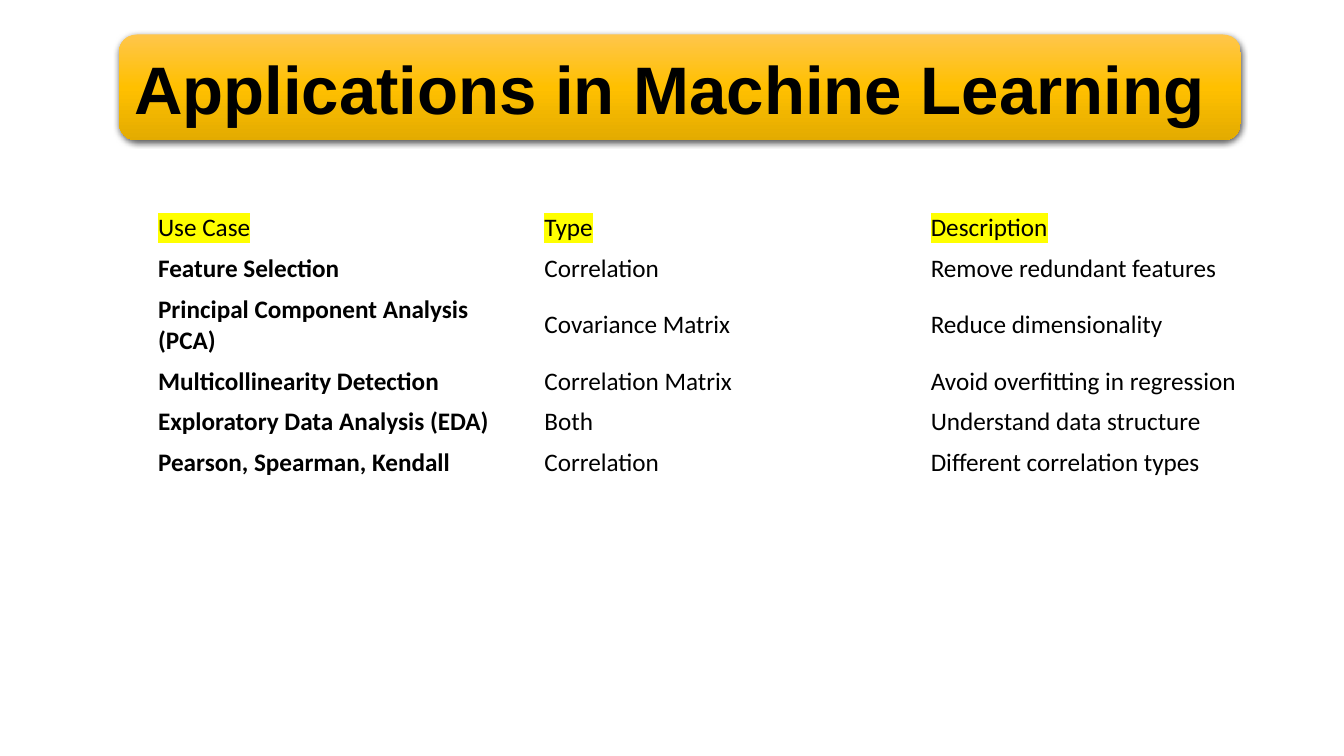
from dataclasses import dataclass

from lxml.etree import SubElement
from pptx import Presentation
from pptx.dml.color import RGBColor
from pptx.enum.shapes import MSO_SHAPE
from pptx.enum.text import MSO_ANCHOR, PP_ALIGN
from pptx.oxml import parse_xml
from pptx.oxml.ns import nsdecls, qn
from pptx.util import Cm, Pt


@dataclass(frozen=True)
class Theme:
    """Colours, fonts and type sizes of the slide."""
    text: str = "000000"
    highlight: str = "FFFF00"
    shadow: str = "000000"
    banner: tuple = ((0, "FFC64B"), (50, "FFC000"), (100, "E3AB00"))
    title_font: str = "Arial"
    body_font: str = "Calibri"
    title_size: int = 48
    body_size: int = 18


THEME = Theme()
TITLE = "Applications in Machine Learning"
USE_CASES = (
    ("Use Case", "Type", "Description"),
    ("Feature Selection", "Correlation", "Remove redundant features"),
    ("Principal Component Analysis (PCA)", "Covariance Matrix", "Reduce dimensionality"),
    ("Multicollinearity Detection", "Correlation Matrix", "Avoid overfitting in regression"),
    ("Exploratory Data Analysis (EDA)", "Both", "Understand data structure"),
    ("Pearson, Spearman, Kendall", "Correlation", "Different correlation types"),
)


def add_text(tf, text, **font):
    """Write one left-aligned run and return it."""
    p = tf.paragraphs[0]
    p.alignment = PP_ALIGN.LEFT
    r = p.add_run()
    r.text = text
    for name, value in font.items():
        setattr(r.font, name, value)
    r.font.color.rgb = RGBColor.from_string(THEME.text)
    return r


def highlight(r):
    """Mark a run with the highlight colour."""
    mark = parse_xml(f'<a:highlight {nsdecls("a")}>'
                     f'<a:srgbClr val="{THEME.highlight}"/></a:highlight>')
    r.font.fill._xPr.find(qn("a:solidFill")).addnext(mark)


def style_banner(sp):
    """Give a shape the vertical gradient and the soft shadow."""
    sp.line.fill.background()
    sp.fill.gradient()
    grad = sp._element.spPr.find(qn("a:gradFill"))
    stops = grad.find(qn("a:gsLst"))
    for stop in list(stops):
        stops.remove(stop)
    for position, color in THEME.banner:
        stop = SubElement(stops, qn("a:gs"), pos=str(position * 1000))
        SubElement(stop, qn("a:srgbClr"), val=color)
    grad.find(qn("a:lin")).set("ang", "5400000")
    sp.shadow.inherit = False
    effects = sp._element.spPr.find(qn("a:effectLst"))
    shadow = SubElement(effects, qn("a:outerShdw"), blurRad=str(Pt(4.5)),
                        dist=str(Pt(1.5)), dir="5400000", algn="ctr", rotWithShape="0")
    color = SubElement(shadow, qn("a:srgbClr"), val=THEME.shadow)
    SubElement(color, qn("a:alpha"), val="63000")


def add_title(s, left, top, width, height):
    """Draw the title banner in the given box."""
    sp = s.shapes.add_shape(MSO_SHAPE.ROUNDED_RECTANGLE, left, top, width, height)
    style_banner(sp)
    tf = sp.text_frame
    tf.word_wrap = True
    tf.vertical_anchor = MSO_ANCHOR.MIDDLE
    add_text(tf, TITLE, name=THEME.title_font, size=Pt(THEME.title_size), bold=True)


def add_use_cases(s, left, top, width, height):
    """Draw the plain table of use cases in the given box."""
    rows, cols = len(USE_CASES), len(USE_CASES[0])
    table = s.shapes.add_table(rows, cols, left, top, width, height).table
    table.first_row = table.horz_banding = False
    for i, row in enumerate(USE_CASES):
        for j, text in enumerate(row):
            cell = table.cell(i, j)
            cell.fill.background()
            cell.vertical_anchor = MSO_ANCHOR.MIDDLE
            r = add_text(cell.text_frame, text, name=THEME.body_font,
                         size=Pt(THEME.body_size), bold=i > 0 and j == 0)
            if i == 0:
                highlight(r)


def main():
    """Build the slide and save it."""
    prs = Presentation()
    prs.slide_width, prs.slide_height = Cm(33.87), Cm(19.05)
    s = prs.slides.add_slide(prs.slide_layouts[6])
    add_title(s, Cm(3), Cm(0.87), Cm(28.27), Cm(2.67))
    add_use_cases(s, Cm(3.73), Cm(5.23), Cm(29.21), Cm(6))
    prs.save("out.pptx")


if __name__ == "__main__":
    main()
